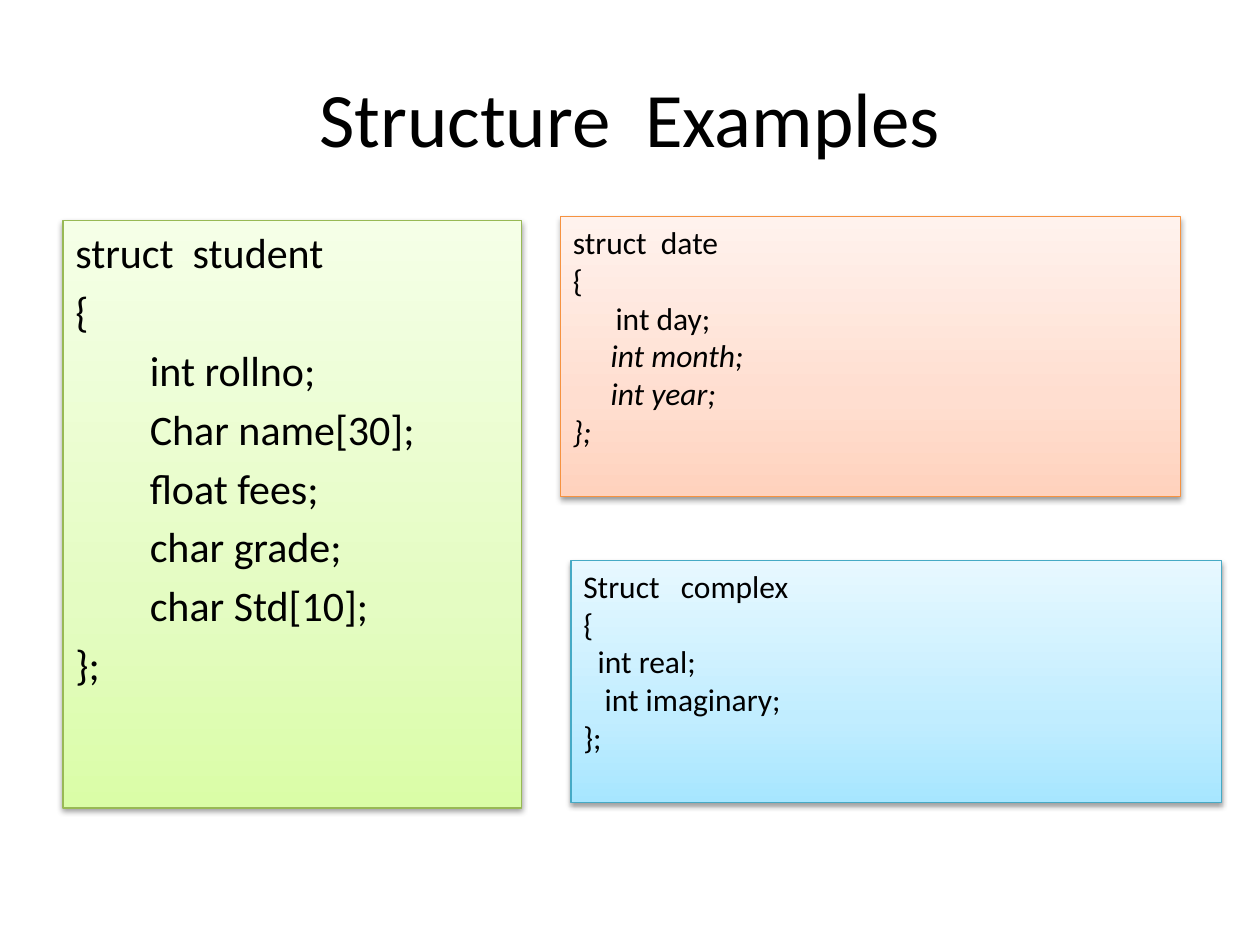
import copy

import lxml.etree
import pptx
import pptx.dml.color
import pptx.enum.shapes
import pptx.enum.text
import pptx.oxml
import pptx.oxml.ns
import pptx.util

Cm = pptx.util.Cm
Pt = pptx.util.Pt
qn = pptx.oxml.ns.qn

FONT = "Calibri"
INK = "000000"
STUDENT = [
    ("struct  student", 0, False),
    ("{", 0, False),
    ("int rollno;", 1.5, False),
    ("Char name[30];", 1.5, False),
    ("float fees;", 1.5, False),
    ("char grade;", 1.5, False),
    ("char Std[10];", 1.5, False),
    ("};", 0, False),
]
DATE = [
    ("struct  date", 0, False),
    ("{", 0, False),
    ("int day;", 0.86, False),
    ("int month;", 0.76, True),
    ("int year;", 0.76, True),
    ("};", 0, True),
]
COMPLEX = [
    ("Struct   complex", 0, False),
    ("{", 0, False),
    ("int real;", 0.29, False),
    ("int imaginary;", 0.43, False),
    ("};", 0, False),
]


def rgb(value):
    return pptx.dml.color.RGBColor.from_string(value)


def set_font(paragraph, size, italic=False):
    paragraph.font.name = FONT
    paragraph.font.size = Pt(size)
    paragraph.font.italic = italic
    paragraph.font.color.rgb = rgb(INK)


def fill_upward(panel, colours):
    panel.fill.gradient()
    panel.fill.gradient_angle = 90
    stop_list = panel._element.spPr.find(".//" + qn("a:gsLst"))
    stop_list.insert(1, copy.deepcopy(stop_list[0]))
    for stop, position, colour in zip(panel.fill.gradient_stops, (0, 0.35, 1), colours):
        stop.position = position
        stop.color.rgb = rgb(colour)


def cast_shadow(panel):
    panel.shadow.inherit = False
    effects = panel._element.spPr.find(qn("a:effectLst"))
    shadow = lxml.etree.SubElement(
        effects, qn("a:outerShdw"),
        blurRad="40000", dist="20000", dir="5400000", rotWithShape="0")
    tint = lxml.etree.SubElement(shadow, qn("a:srgbClr"), val=INK)
    lxml.etree.SubElement(tint, qn("a:alpha"), val="38000")


def add_title(slide, box, wording):
    title = slide.shapes.title
    title.left, title.top, title.width, title.height = map(Cm, box)
    title.text_frame.text = wording
    title.text_frame.vertical_anchor = pptx.enum.text.MSO_ANCHOR.MIDDLE
    heading = title.text_frame.paragraphs[0]
    heading.alignment = pptx.enum.text.PP_ALIGN.CENTER
    set_font(heading, 44)


def add_code_panel(slide, box, code, size, gap, colours, border):
    panel = slide.shapes.add_shape(
        pptx.enum.shapes.MSO_SHAPE.RECTANGLE, *map(Cm, box))
    fill_upward(panel, colours)
    panel.line.color.rgb = rgb(border)
    panel.line.width = Pt(0.75)
    cast_shadow(panel)
    frame = panel.text_frame
    frame.word_wrap = True
    frame.vertical_anchor = pptx.enum.text.MSO_ANCHOR.TOP
    frame.text = "\n".join(wording for wording, _, _ in code)
    for paragraph, (_, indent, italic) in zip(frame.paragraphs, code):
        paragraph.alignment = pptx.enum.text.PP_ALIGN.LEFT
        paragraph.space_before = Pt(gap)
        paragraph._p.get_or_add_pPr().set("marL", str(Cm(indent)))
        set_font(paragraph, size, italic)


deck = pptx.Presentation()
deck.slide_width = Cm(25.4)
deck.slide_height = Cm(19.05)
examples = deck.slides.add_slide(deck.slide_layouts[5])

add_title(examples, (1.27, 0.76, 22.86, 3.18), "Structure  Examples")
add_code_panel(examples, (1.27, 4.45, 9.25, 11.84), STUDENT, 24, 4.8,
               ("DAFDA7", "E4FCC2", "F5FFE7"), "98B955")
add_code_panel(examples, (11.3, 4.37, 12.5, 5.64), DATE, 18, 0,
               ("FFD2BD", "FFDED0", "FFF2ED"), "F69240")
add_code_panel(examples, (11.51, 11.3, 13.11, 4.88), COMPLEX, 18, 0,
               ("A7E6FF", "C1EDFF", "E7F8FF"), "46AAC5")

deck.save("out.pptx")
